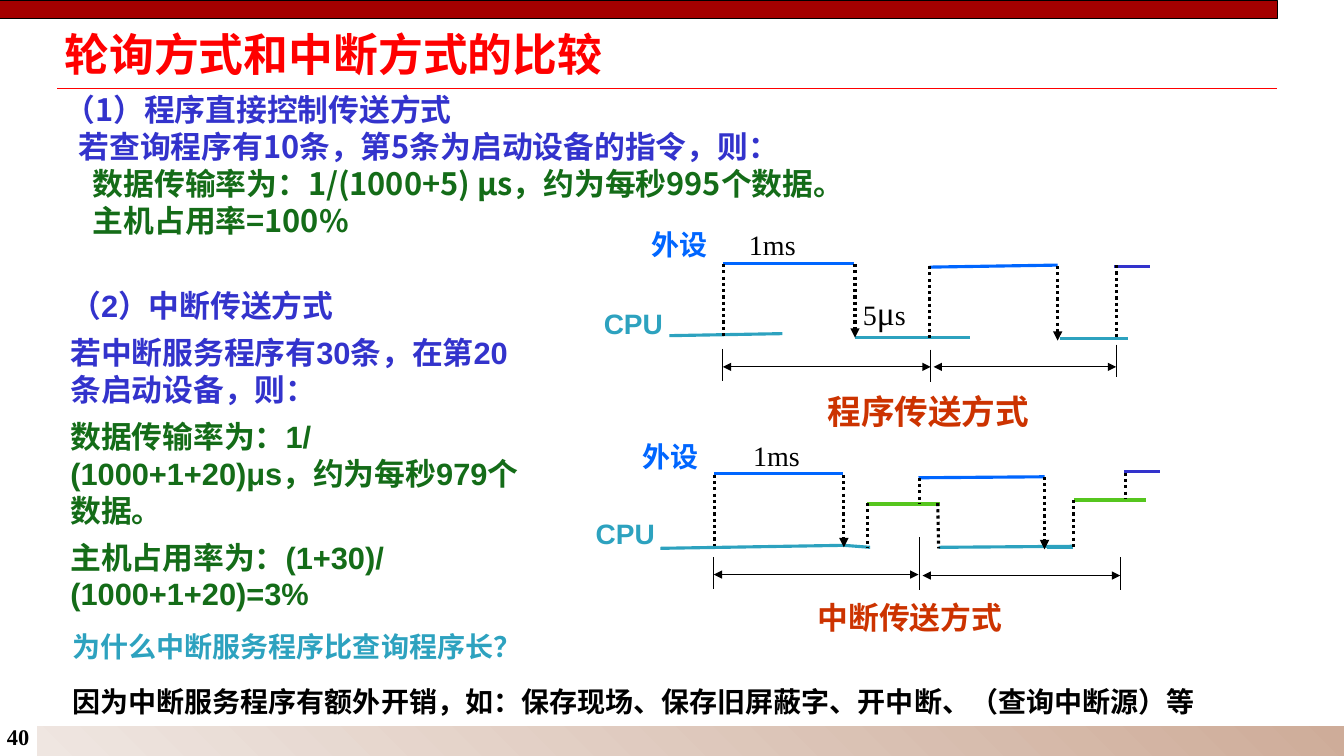
import dataclasses

import lxml.etree
import pptx
import pptx.dml.color
import pptx.enum.dml
import pptx.enum.shapes
import pptx.enum.text
import pptx.oxml.ns
import pptx.util

PX = 9144  # 100 px to the inch


@dataclasses.dataclass(frozen=True)
class Theme:
    red: str = "FF0000"
    banner: str = "A40000"
    indigo: str = "3333CC"
    green: str = "146C18"
    blue: str = "0066FF"
    teal: str = "2DA2BF"
    lime: str = "56C61E"
    orange: str = "CC3300"
    black: str = "000000"
    white: str = "FFFFFF"
    footer_dark: str = "CEAC99"
    footer_light: str = "EFE6E1"
    title: int = 32
    caption: int = 24
    body: int = 22
    label: int = 20
    page: int = 16
    thick: float = 2.25
    thin: float = 0.75
    leading: float = 1.2
    cjk: str = "Noto Sans CJK SC"
    sans: str = "Arial"
    serif: str = "Times New Roman"


THEME = Theme()


def px(*lengths):
    return [pptx.util.Emu(length * PX) for length in lengths]


def rgb(color):
    return pptx.dml.color.RGBColor.from_string(color)


def apply(target, formats):
    for attribute, value in formats.items():
        setattr(target, attribute, value)


def add_run(paragraph, text, size, color, font, bold):
    run = paragraph.add_run()
    run.text = text
    apply(run.font, {"size": pptx.util.Pt(size), "bold": bold, "name": font})
    run.font.color.rgb = rgb(color)
    east_asian = lxml.etree.SubElement(run.font._element, pptx.oxml.ns.qn("a:ea"))
    east_asian.set("typeface", THEME.cjk)


def write(shape, paragraphs, size, font, bold=True, inset=(10, 5), before=0,
          even=True, anchor=pptx.enum.text.MSO_ANCHOR.TOP):
    """Each paragraph is (left indent, [(text, color, optional size), ...])."""
    across, down = px(*inset)
    apply(shape.text_frame, {
        "word_wrap": True, "vertical_anchor": anchor,
        "margin_left": across, "margin_right": across,
        "margin_top": down, "margin_bottom": down})
    for number, (indent, runs) in enumerate(paragraphs):
        frame = shape.text_frame
        paragraph = frame.add_paragraph() if number else frame.paragraphs[0]
        paragraph.alignment = pptx.enum.text.PP_ALIGN.LEFT
        if even:
            paragraph.line_spacing = pptx.util.Pt(size * THEME.leading)
        if number:
            paragraph.space_before = pptx.util.Pt(before)
        if indent:
            paragraph._p.get_or_add_pPr().set("marL", str(indent * PX))
        for text, color, *own_size in runs:
            add_run(paragraph, text, own_size[0] if own_size else size, color, font, bold)


def add_text(shapes, box, paragraphs, size, font, **options):
    write(shapes.add_textbox(*px(*box)), paragraphs, size, font, **options)


def add_bar(shapes, box, border=None):
    bar = shapes.add_shape(pptx.enum.shapes.MSO_SHAPE.RECTANGLE, *px(*box))
    bar.shadow.inherit = False
    if border:
        bar.line.color.rgb = rgb(border)
        bar.line.width = pptx.util.Pt(THEME.thin)
    else:
        bar.line.fill.background()
    return bar


def add_line(shapes, ends, color, width, dotted=False, arrows=()):
    line = shapes.add_connector(pptx.enum.shapes.MSO_CONNECTOR.STRAIGHT, *px(*ends))
    line.line.color.rgb = rgb(color)
    line.line.width = pptx.util.Pt(width)
    if dotted:
        line.line.dash_style = pptx.enum.dml.MSO_LINE.ROUND_DOT
    for end in arrows:
        arrow = lxml.etree.SubElement(line.line._get_or_add_ln(), pptx.oxml.ns.qn(f"a:{end}"))
        arrow.set("type", "triangle")
    lxml.etree.SubElement(line._element.spPr, pptx.oxml.ns.qn("a:effectLst"))


def add_timing(slide, levels, edges, requests, ticks, spans, labels, caption):
    """One timing diagram, kept together as a group."""
    shapes = slide.shapes.add_group_shape().shapes
    for color, *ends in levels:
        add_line(shapes, ends, color, THEME.thick)
    for ends in edges:
        add_line(shapes, ends, THEME.black, THEME.thick, dotted=True)
    for ends in requests:
        add_line(shapes, ends, THEME.black, THEME.thick, dotted=True, arrows=["tailEnd"])
    for ends in ticks:
        add_line(shapes, ends, THEME.black, THEME.thin)
    for ends in spans:
        add_line(shapes, ends, THEME.black, THEME.thin, arrows=["headEnd", "tailEnd"])
    device, cpu, period = labels
    add_text(shapes, device, [(0, [("外设", THEME.blue)])], THEME.label, THEME.serif)
    add_text(shapes, cpu, [(0, [("CPU", THEME.teal)])], THEME.label, THEME.sans, even=False)
    add_text(shapes, period, [(0, [("1ms", THEME.black)])], THEME.label, THEME.serif,
             bold=False, even=False)
    box, text, size = caption
    add_text(shapes, box, [(0, [(text, THEME.orange)])], size, THEME.serif)
    return shapes


def add_frame(shapes):
    add_line(shapes, (57, 88, 1267, 88), THEME.red, 1)
    footer = add_bar(shapes, (36, 720, 1299, 31), THEME.white)
    footer.fill.gradient()
    footer.fill.gradient_angle = 225
    for stop, color in zip(footer.fill.gradient_stops, (THEME.footer_dark, THEME.footer_light)):
        stop.color.rgb = rgb(color)
    add_text(shapes, (-3, 712, 50, 34), [(0, [("40", THEME.black)])], THEME.page,
             THEME.serif, even=False)
    banner = add_bar(shapes, (0, 1, 1267, 17), THEME.black)
    banner.fill.solid()
    banner.fill.fore_color.rgb = rgb(THEME.banner)


def add_explanations(shapes):
    add_text(shapes, (57, 27, 1202, 52), [(0, [("轮询方式和中断方式的比较", THEME.red)])],
             THEME.title, THEME.cjk, inset=(7, 3), anchor=pptx.enum.text.MSO_ANCHOR.MIDDLE)
    add_text(shapes, (57, 87, 1078, 175), [
        (0, [("（1）程序直接控制传送方式", THEME.indigo)]),
        (14, [("若查询程序有10条，第5条为启动设备的指令，则：", THEME.indigo)]),
        (28, [("数据传输率为：1/(1000+5) μs，约为每秒995个数据。", THEME.green)]),
        (28, [("主机占用率=100%", THEME.green)]),
    ], THEME.body, THEME.cjk, inset=(7, 3))
    add_text(shapes, (60, 280, 473, 303), [
        (0, [("（2）中断传送方式", THEME.indigo)]),
        (0, [("若中断服务程序有30条，在第20条启动设备，则：", THEME.indigo)]),
        (0, [("数据传输率为：1/(1000+1+20)μs，约为每秒979个数据。", THEME.green)]),
        (0, [("主机占用率为：(1+30)/(1000+1+20)=3%", THEME.green)]),
    ], THEME.body, THEME.sans, before=7)


def add_question(shapes):
    add_text(shapes, (62, 620, 479, 43),
             [(0, [("为什么中断服务程序比查询程序长？", THEME.teal)])], THEME.label, THEME.sans)
    answer = add_bar(shapes, (62, 674, 1172, 44))
    answer.fill.solid()
    answer.fill.fore_color.rgb = rgb(THEME.white)
    write(answer, [(0, [("因为中断服务程序有额外开销，如：保存现场、保存旧屏蔽字、开中断、（查询中断源）等",
                         THEME.black)])], THEME.label, THEME.sans)


def main():
    deck = pptx.Presentation()
    deck.slide_width, deck.slide_height = px(1333, 750)
    slide = deck.slides.add_slide(deck.slide_layouts[6])
    add_frame(slide.shapes)
    add_explanations(slide.shapes)

    # Programmed transfer
    polling = add_timing(
        slide,
        levels=[(THEME.teal, 664, 333, 776, 331), (THEME.blue, 717, 261, 847, 261),
                (THEME.teal, 848, 335, 962, 335), (THEME.blue, 922, 265, 1049, 263),
                (THEME.teal, 1051, 336, 1119, 336), (THEME.indigo, 1105, 264, 1141, 264)],
        edges=[(718, 262, 718, 334), (922, 264, 922, 337), (1107, 263, 1107, 335)],
        requests=[(848, 262, 848, 335), (1049, 264, 1049, 338)],
        ticks=[(x, top, x, top + 32) for x, top in ((717, 346), (923, 347), (1107, 342))],
        spans=[(717, 364, 923, 364), (926, 364, 1107, 364)],
        labels=[(636, 221, 119, 44), (589, 299, 130, 43), (733, 221, 110, 44)],
        caption=((811, 383, 223, 50), "程序传送方式", THEME.caption))
    add_text(polling, (846, 285, 110, 50), [(0, [
        ("5", THEME.black), ("μ", THEME.black, THEME.caption), ("s", THEME.black)])],
        THEME.label, THEME.serif, bold=False, even=False)

    # Interrupt transfer
    add_timing(
        slide,
        levels=[(THEME.teal, 655, 544, 838, 541), (THEME.blue, 708, 470, 836, 470),
                (THEME.teal, 837, 541, 863, 543), (THEME.blue, 911, 474, 1036, 473),
                (THEME.teal, 1038, 543, 1064, 543), (THEME.indigo, 1115, 468, 1151, 468),
                (THEME.lime, 860, 500, 932, 500), (THEME.teal, 931, 543, 1063, 542),
                (THEME.lime, 1065, 496, 1137, 496)],
        edges=[(709, 471, 709, 542), (860, 499, 860, 543), (1065, 496, 1065, 543),
               (912, 474, 912, 499), (930, 499, 931, 544), (1116, 469, 1116, 494)],
        requests=[(837, 471, 837, 543), (1036, 473, 1036, 545)],
        ticks=[(708, 553, 708, 584), (912, 533, 912, 585), (1111, 553, 1111, 585)],
        spans=[(708, 570, 911, 570), (915, 571, 1111, 571)],
        labels=[(627, 431, 117, 43), (581, 507, 129, 43), (737, 430, 109, 43)],
        caption=((801, 589, 215, 47), "中断传送方式", THEME.body))

    add_question(slide.shapes)
    deck.save("out.pptx")


if __name__ == "__main__":
    main()
